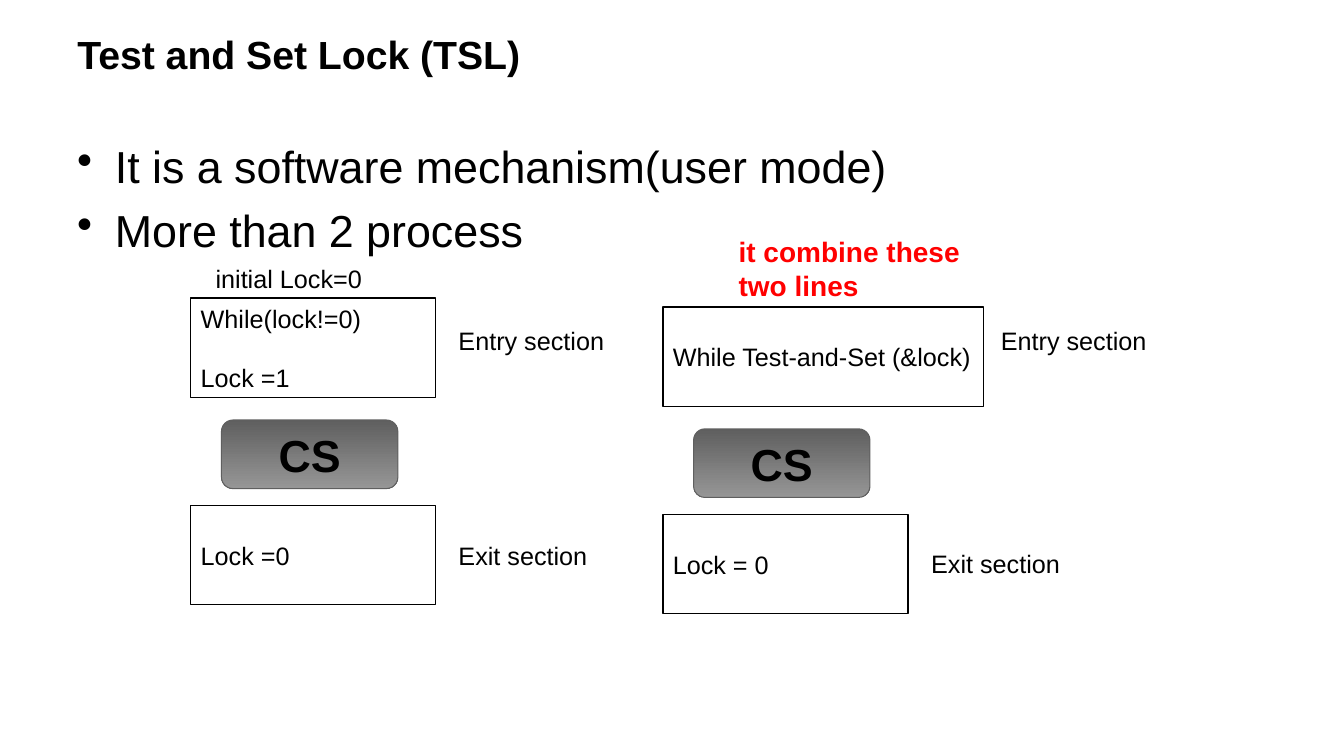
"""Build the Test and Set Lock slide."""
import pptx
import pptx.util
import pptx.dml.color
import pptx.enum.shapes
import pptx.enum.text
from lxml import etree

Pt = pptx.util.Pt
ANCHOR = pptx.enum.text.MSO_ANCHOR
ALIGN = pptx.enum.text.PP_ALIGN
SHAPE = pptx.enum.shapes.MSO_SHAPE

COLORS = {"text": "000000", "accent": "FF0000", "box": "FFFFFF",
          "dark": "5F5F5F", "light": "969696"}
FONT = "Arial"
LINE_18 = 20.7
TITLE = "Test and Set Lock (TSL)"
BULLETS = ["It is a software mechanism(user mode)", "More than 2 process"]
BOX_W, BOX_H = 175, 71
CS_W, CS_H = 126, 49
FLOWS = [
    {"left": 136.3, "top": 213, "entry": ["While(lock!=0)", "Lock =1"],
     "entry_w": BOX_W, "exit": ["Lock =0"]},
    {"left": 473.5, "top": 219.3, "entry": ["While Test-and-Set (&lock)"],
     "entry_w": 229, "exit": ["Lock = 0"]},
]
CS_DX, CS_DY, EXIT_DY = 21.9, 87, 148
LABELS = [
    ("Entry section", 320.4, 229),
    ("Exit section", 320.4, 382.5),
    ("initial Lock=0", 146.9, 184.3),
    ("Entry section", 707.8, 229),
    ("Exit section", 658, 388.3),
]
LABEL_W, LABEL_H = 147.6, 29


def rgb(name):
    return pptx.dml.color.RGBColor.from_string(COLORS[name])


def write(sp, lines, size, color="text", bold=False, gap=0,
          align=ALIGN.LEFT, anchor=ANCHOR.TOP, wrap=True):
    tf = sp.text_frame
    tf.auto_size = pptx.enum.text.MSO_AUTO_SIZE.NONE
    tf.word_wrap = wrap
    tf.vertical_anchor = anchor
    for i, line in enumerate(lines):
        p = tf.add_paragraph() if i else tf.paragraphs[0]
        p.alignment = align
        p.space_before = Pt(gap if i else 0)
        r = p.add_run()
        r.text = line
        r.font.name, r.font.size, r.font.bold = FONT, Pt(size), bold
        r.font.color.rgb = rgb(color)
    return tf


def add_text(s, box, lines, size, **style):
    sp = s.shapes.add_textbox(*map(Pt, box))
    return write(sp, lines, size, **style)


def add_code(s, box, lines):
    sp = s.shapes.add_shape(SHAPE.RECTANGLE, *map(Pt, box))
    sp.shadow.inherit = False
    sp.fill.solid()
    sp.fill.fore_color.rgb = rgb("box")
    sp.line.color.rgb = rgb("text")
    sp.line.width = Pt(1)
    write(sp, lines, 18, gap=LINE_18, anchor=ANCHOR.MIDDLE, wrap=False)


def add_critical_section(s, left, top):
    sp = s.shapes.add_shape(SHAPE.ROUNDED_RECTANGLE,
                            *map(Pt, (left, top, CS_W, CS_H)))
    sp.shadow.inherit = False
    sp.fill.gradient()
    sp.fill.gradient_angle = 270
    for stop, name, position in zip(sp.fill.gradient_stops, ("dark", "light"), (0, 1)):
        stop.color.rgb = rgb(name)
        stop.position = position
    sp.line.color.rgb = rgb("dark")
    sp.line.width = Pt(0.75)
    write(sp, ["CS"], 32, bold=True, align=ALIGN.CENTER,
          anchor=ANCHOR.MIDDLE, wrap=False)


def add_bullets(s):
    tf = add_text(s, (48, 92.2, 864, 89), BULLETS, 32, gap=7.4)
    tf.margin_top = Pt(6.8)
    for p in tf.paragraphs:
        props = p._p.get_or_add_pPr()
        props.set("marL", str(Pt(27)))
        props.set("indent", str(Pt(-27)))
        etree.SubElement(props, pptx.oxml.ns.qn("a:buChar")).set("char", "•")


def main():
    prs = pptx.Presentation()
    prs.slide_width, prs.slide_height = Pt(960), Pt(540)
    s = prs.slides.add_slide(prs.slide_layouts[5])
    title = s.shapes.title
    title.left, title.top, title.width, title.height = map(Pt, (48, 15.5, 864, 46))
    write(title, [TITLE], 28, bold=True, anchor=ANCHOR.MIDDLE)
    add_bullets(s)
    for flow in FLOWS:
        left, top = flow["left"], flow["top"]
        add_code(s, (left, top, flow["entry_w"], BOX_H), flow["entry"])
        add_critical_section(s, left + CS_DX, top + CS_DY)
        add_code(s, (left, top + EXIT_DY, BOX_W, BOX_H), flow["exit"])
    for label, left, top in LABELS:
        add_text(s, (left, top, LABEL_W, LABEL_H), [label], 18)
    add_text(s, (520.5, 164, 188, 55.5), ["it combine these two lines"], 20,
             color="accent", bold=True)
    prs.save("out.pptx")


if __name__ == "__main__":
    main()
